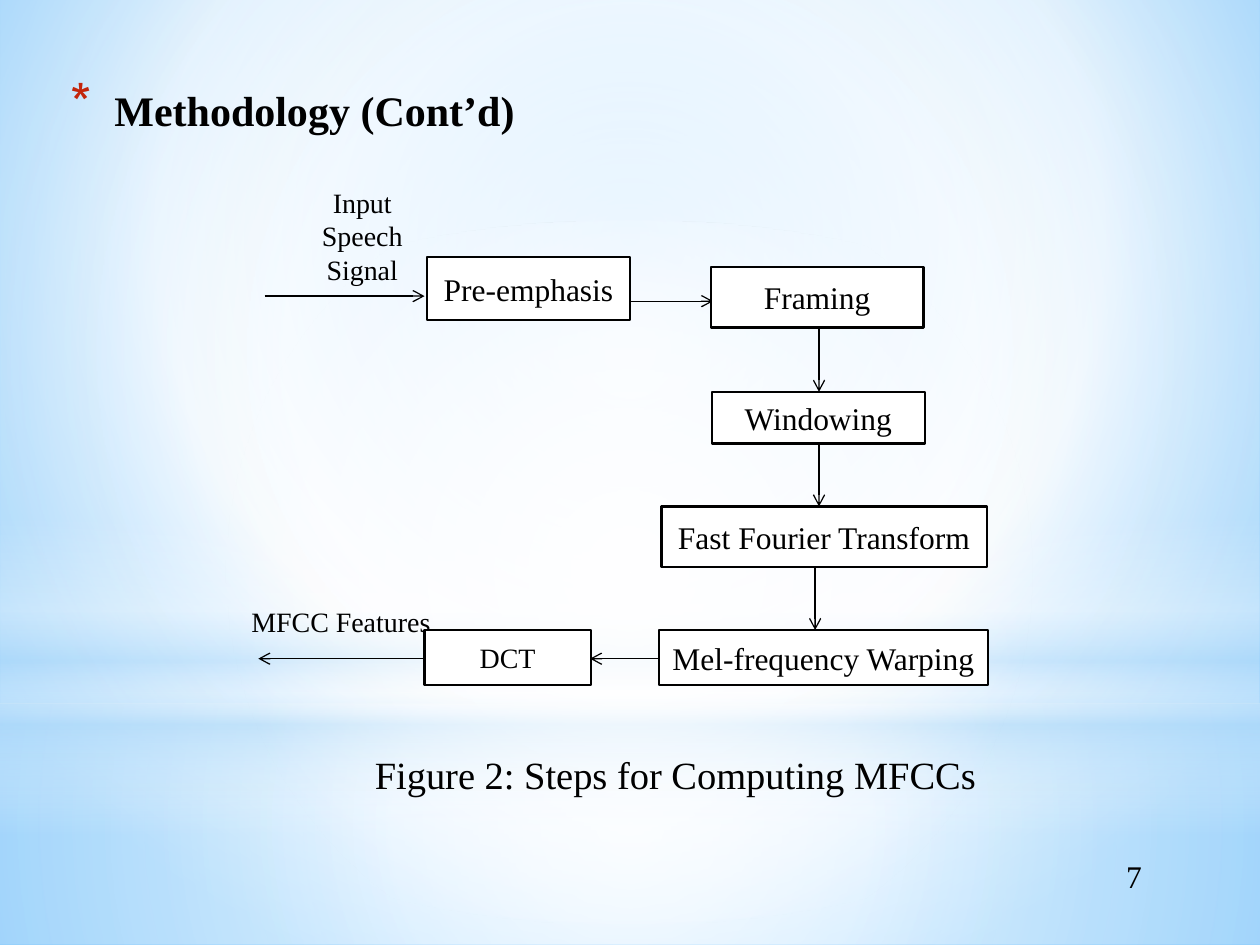
from typing import NamedTuple

from lxml.etree import SubElement
from pptx import Presentation
from pptx.dml.color import RGBColor
from pptx.enum.shapes import MSO_CONNECTOR, MSO_SHAPE
from pptx.enum.text import MSO_ANCHOR, PP_ALIGN
from pptx.oxml.ns import qn
from pptx.util import Pt

FONT = "Times New Roman"
COLORS = {
    "ink": "000000",
    "white": "FFFFFF",
    "bullet": "C3260C",
    "haze": "B4DCFA",
    "sky": "9ED5FF",
    "edge": "5BB9FF",
}


class Stop(NamedTuple):
    position: int
    color: str
    opacity: int = 100


class Gradient(NamedTuple):
    stops: list[Stop]
    focus: tuple[int, int, int, int] | None = (50, 50, 50, 50)


class Glow(NamedTuple):
    outline: MSO_SHAPE
    top: float
    height: float
    gradient: Gradient


class Label(NamedTuple):
    text: str
    left: float
    top: float
    width: float
    height: float
    size: int = 18
    align: PP_ALIGN = PP_ALIGN.CENTER
    anchor: MSO_ANCHOR = MSO_ANCHOR.TOP
    bold: bool = False


class Arrow(NamedTuple):
    start: tuple[float, float]
    end: tuple[float, float]


BACKDROP = Gradient(
    [Stop(0, "sky"), Stop(60, "white"), Stop(100, "edge")], (20, 10, 20, 60)
)
GLOWS = [
    Glow(MSO_SHAPE.RECTANGLE, 401.8, 138.2, Gradient(
        [Stop(0, "white", 91), Stop(37, "white", 76), Stop(100, "haze", 79)])),
    Glow(MSO_SHAPE.RECTANGLE, 0, 401.8, Gradient(
        [Stop(0, "white", 89), Stop(48, "white", 62), Stop(100, "haze", 79)])),
    Glow(MSO_SHAPE.RECTANGLE, 296.6, 180, Gradient(
        [Stop(0, "white", 0), Stop(29, "white", 30), Stop(45, "haze", 40),
         Stop(55, "white", 26), Stop(65, "haze", 60), Stop(100, "white", 0)], None)),
    Glow(MSO_SHAPE.OVAL, 126, 401.8, Gradient(
        [Stop(0, "white"), Stop(56, "white", 0)])),
]
STEPS = [
    Label("Pre-emphasis", 244.1, 146.9, 115.9, 36),
    Label("Framing", 406.1, 152.6, 121.7, 34.6),
    Label("Windowing", 406.8, 223.9, 121.7, 29.5),
    Label("Fast Fourier Transform", 378, 289.4, 185.8, 34.6),
    Label("Mel-frequency Warping", 376.6, 360, 187.9, 31.7),
    Label("DCT", 242.6, 360, 95, 31.7, 16),
]
ARROWS = [
    Arrow((151.2, 169.2), (242.6, 169.2)),
    Arrow((360, 172.1), (407.5, 172.1)),
    Arrow((468, 187.9), (468, 223.9)),
    Arrow((468, 253.4), (468, 289.4)),
    Arrow((465.8, 324), (465.8, 360)),
    Arrow((376.6, 376.4), (337.2, 376.4)),
    Arrow((242.6, 376.4), (147.6, 376.4)),
]
CAPTIONS = [
    Label("Figure 2: Steps for Computing MFCCs", 186.5, 425.5, 398.9, 33.8, 22),
    Label("MFCC Features", 110.2, 342, 169.2, 26.6, 16),
    Label("Input Speech Signal", 159.1, 102.2, 95.8, 65.5, 16),
    Label("7", 576, 486, 144, 28.8, anchor=MSO_ANCHOR.MIDDLE),
]
TITLE = Label("Methodology (Cont’d)", 33.1, 44.6, 512.6, 90, 24, PP_ALIGN.LEFT, bold=True)


def rgb(name: str) -> RGBColor:
    return RGBColor.from_string(COLORS[name])


def apply_gradient(owner, gradient: Gradient) -> None:
    solid = next(owner.iter(qn("a:solidFill")))
    blend = solid.makeelement(qn("a:gradFill"), {"rotWithShape": "1"})
    stop_list = SubElement(blend, qn("a:gsLst"))
    for stop in gradient.stops:
        mark = SubElement(stop_list, qn("a:gs"), pos=str(stop.position * 1000))
        color = SubElement(mark, qn("a:srgbClr"), val=COLORS[stop.color])
        if stop.opacity < 100:
            SubElement(color, qn("a:alpha"), val=str(stop.opacity * 1000))
    if gradient.focus is None:
        SubElement(blend, qn("a:lin"), ang="5400000", scaled="0")
    else:
        circle = SubElement(blend, qn("a:path"), path="circle")
        insets = {side: str(inset * 1000) for side, inset in zip("ltrb", gradient.focus)}
        SubElement(circle, qn("a:fillToRect"), insets)
    solid.getparent().replace(solid, blend)


def draw_glow(slide, glow: Glow) -> None:
    light = slide.shapes.add_shape(
        glow.outline, Pt(0), Pt(glow.top), Pt(720), Pt(glow.height)
    )
    light.shadow.inherit = False
    light.line.fill.background()
    light.fill.solid()
    apply_gradient(light.element, glow.gradient)


def write(holder, label: Label, anchor: MSO_ANCHOR, wrap: bool):
    frame = holder.text_frame
    frame.word_wrap = wrap
    frame.vertical_anchor = anchor
    paragraph = frame.paragraphs[0]
    paragraph.alignment = label.align
    run = paragraph.add_run()
    run.text = label.text
    run.font.name = FONT
    run.font.size = Pt(label.size)
    run.font.bold = label.bold
    run.font.color.rgb = rgb("ink")
    return paragraph


def draw_caption(slide, label: Label):
    caption = slide.shapes.add_textbox(
        Pt(label.left), Pt(label.top), Pt(label.width), Pt(label.height)
    )
    return write(caption, label, label.anchor, True)


def draw_step(slide, label: Label) -> None:
    step = slide.shapes.add_shape(
        MSO_SHAPE.RECTANGLE,
        Pt(label.left), Pt(label.top), Pt(label.width), Pt(label.height),
    )
    step.shadow.inherit = False
    step.fill.solid()
    step.fill.fore_color.rgb = rgb("white")
    step.line.color.rgb = rgb("ink")
    step.line.width = Pt(1.25)
    write(step, label, MSO_ANCHOR.MIDDLE, False)


def draw_arrow(slide, arrow: Arrow) -> None:
    flow = slide.shapes.add_connector(
        MSO_CONNECTOR.STRAIGHT, *map(Pt, arrow.start), *map(Pt, arrow.end)
    )
    flow.line.color.rgb = rgb("ink")
    flow.line.width = Pt(0.75)
    SubElement(flow.line._get_or_add_ln(), qn("a:tailEnd"), type="arrow")
    SubElement(flow.element.spPr, qn("a:effectLst"))


def draw_title(slide, label: Label) -> None:
    heading = draw_caption(slide, label)
    properties = heading._p.get_or_add_pPr()
    properties.set("marL", str(Pt(25.2)))
    properties.set("indent", str(Pt(-25.2)))
    bullet_color = SubElement(properties, qn("a:buClr"))
    SubElement(bullet_color, qn("a:srgbClr"), val=COLORS["bullet"])
    SubElement(properties, qn("a:buSzPct"), val="128000")
    SubElement(properties, qn("a:buChar"), char="*")


def main() -> None:
    deck = Presentation()
    deck.slide_width, deck.slide_height = Pt(720), Pt(540)
    slide = deck.slides.add_slide(deck.slide_layouts[6])
    slide.background.fill.solid()
    slide.background.fill.fore_color.rgb = rgb("white")
    apply_gradient(slide.element, BACKDROP)
    for glow in GLOWS:
        draw_glow(slide, glow)
    for caption in CAPTIONS:
        draw_caption(slide, caption)
    for arrow in ARROWS:
        draw_arrow(slide, arrow)
    for step in STEPS:
        draw_step(slide, step)
    draw_title(slide, TITLE)
    deck.save("out.pptx")


if __name__ == "__main__":
    main()
